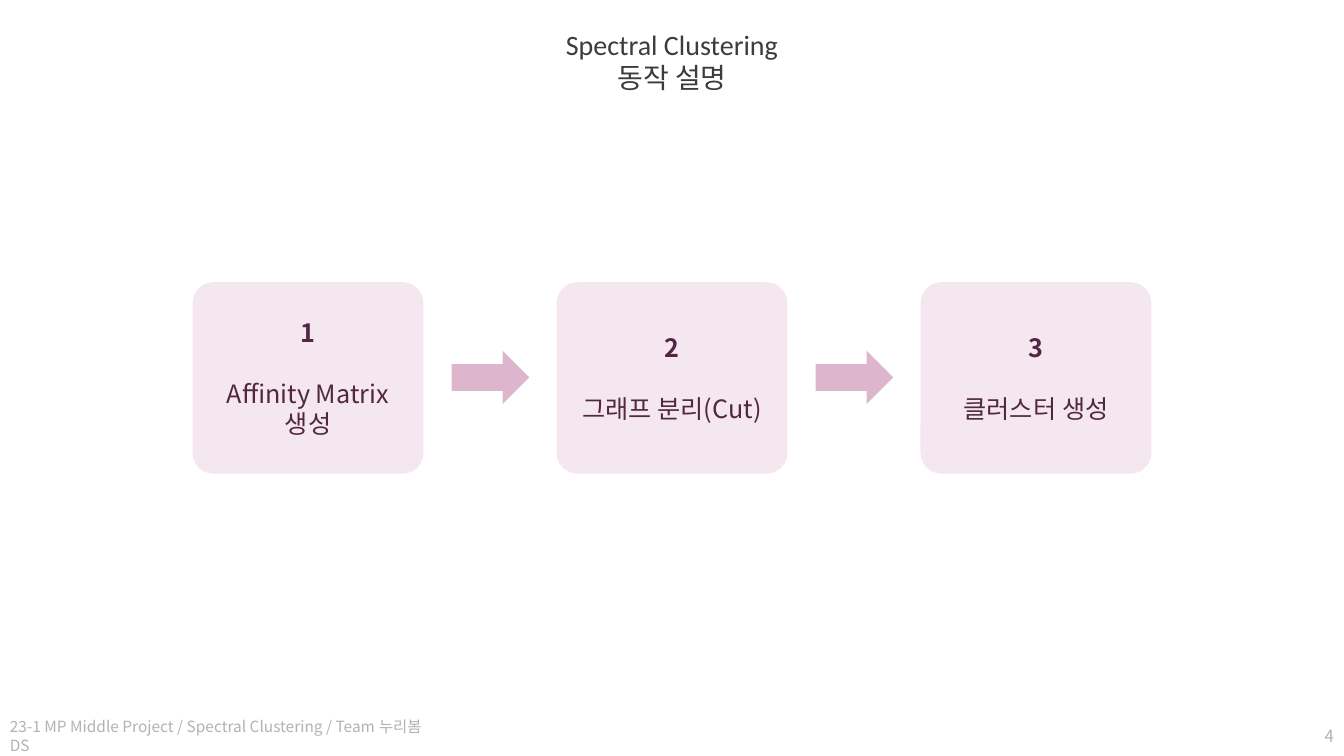
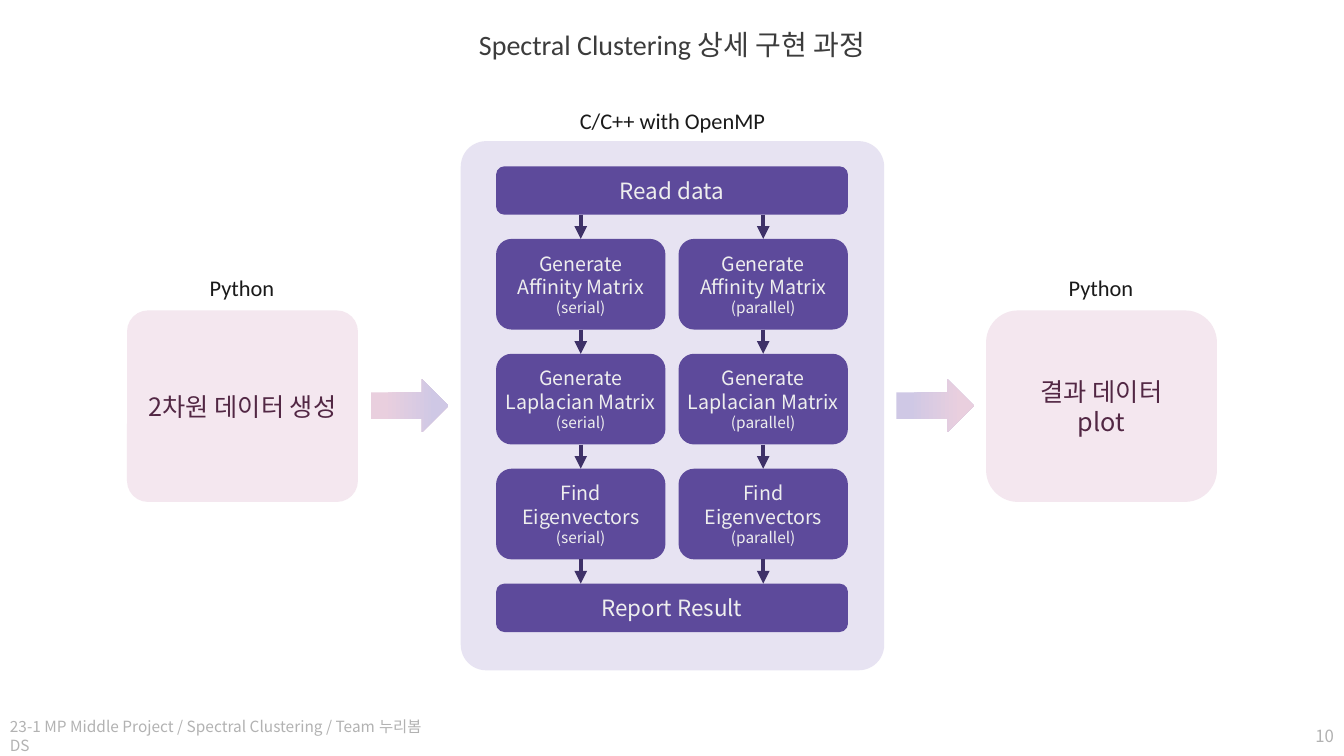
from lxml.etree import SubElement
from pptx import Presentation
from pptx.dml.color import RGBColor
from pptx.enum.shapes import MSO_CONNECTOR as Line, MSO_SHAPE as Kind
from pptx.enum.text import MSO_ANCHOR as Anchor, MSO_AUTO_SIZE as AutoSize, PP_ALIGN as Align
from pptx.oxml.ns import qn
from pptx.util import Pt

PX = 9144


class Theme:
    latin = "Calibri"
    korean = "Noto Sans CJK KR"
    title, caption, footer = "3C3C3C", "1A1A1A", "B2B2B2"
    card, card_text, arrow = "F4E7EF", "522744", "DDB6CE"
    panel, step, step_text, link = "E7E3F2", "5D4A9B", "EEEEEE", "3E3168"
    pink, lilac = "E9CFDE", "CFC8E5"
    title_size, card_size, caption_size, bar_size = 20, 18, 16, 16
    step_size, mode_size, footer_size, number_size = 14, 11, 11, 12
    card_corner, panel_corner, step_corner = 0.11, 0.06, 0.172
    link_width = 3


def place(slide, box, kind=None, fill=None, corner=None):
    left, top, width, height = [length * PX for length in box]
    if kind is None:
        return slide.shapes.add_textbox(left, top, width, height)
    shape = slide.shapes.add_shape(kind, left, top, width, height)
    shape.shadow.inherit = False
    shape.line.fill.background()
    if fill:
        shape.fill.solid()
        shape.fill.fore_color.rgb = RGBColor.from_string(fill)
    if corner:
        shape.adjustments[0] = corner
    return shape


def write(shape, lines, color, size, font=Theme.korean, align=Align.CENTER, grow=False):
    frame = shape.text_frame
    frame.word_wrap = not grow
    frame.vertical_anchor = Anchor.TOP if grow else Anchor.MIDDLE
    if grow:
        frame.auto_size = AutoSize.SHAPE_TO_FIT_TEXT
    for index, line in enumerate(lines):
        paragraph = frame.add_paragraph() if index else frame.paragraphs[0]
        paragraph.text = line
        paragraph.alignment = align
        for run in paragraph.runs:
            run.font.size = Pt(size)
            run.font.color.rgb = RGBColor.from_string(color)
            run.font.name = font
            SubElement(run.font._element, qn("a:ea"), typeface=Theme.korean)
    return frame


deck = Presentation()
deck.slide_width, deck.slide_height = 1333 * PX, 750 * PX

slides = []
for number, title in [
    ("4", ["Spectral Clustering", "동작 설명"]),
    ("10", ["Spectral Clustering 상세 구현 과정"]),
]:
    slide = deck.slides.add_slide(deck.slide_layouts[6])
    slides.append(slide)
    write(place(slide, (0, 710, 450, 40)),
          ["23-1 MP Middle Project / Spectral Clustering / Team 누리봄 DS"],
          Theme.footer, Theme.footer_size, align=Align.LEFT)
    write(place(slide, (1033, 710, 300, 40)), [number],
          Theme.footer, Theme.number_size, align=Align.RIGHT)
    write(place(slide, (406, 22, 521, 44)), title,
          Theme.title, Theme.title_size, Theme.latin, grow=True)
overview, process = slides

card_width, card_height = 229, 190
arrow_width, arrow_height, arrow_drop = 77, 53, 68
stages = ["Affinity Matrix\n생성", "그래프 분리(Cut)", "클러스터 생성"]
for index, stage in enumerate(stages):
    left, top = 191 + 361 * index, 280
    card = place(overview, (left, top, card_width, card_height),
                 Kind.ROUNDED_RECTANGLE, Theme.card, Theme.card_corner)
    heading, body = write(card, [str(index + 1), stage],
                          Theme.card_text, Theme.card_size).paragraphs
    heading.runs[0].font.bold = True
    body.space_before = Pt(22)
    if index < len(stages) - 1:
        place(overview, (left + card_width + 28, top + arrow_drop, arrow_width, arrow_height),
              Kind.RIGHT_ARROW, Theme.arrow)

card_top = 308
for left, lines, corner in [
    (126, ["2차원 데이터 생성"], Theme.card_corner),
    (978, ["결과 데이터", "plot"], None),
]:
    card = place(process, (left, card_top, card_width, card_height),
                 Kind.ROUNDED_RECTANGLE, Theme.card, corner)
    write(card, lines, Theme.card_text, Theme.card_size)

place(process, (457, 140, 420, 525), Kind.ROUNDED_RECTANGLE, Theme.panel, Theme.panel_corner)

for caption, left, top, width in [
    ("Python", 184, 267, 112),
    ("C/C++ with OpenMP", 532, 101, 270),
    ("Python", 1036, 267, 112),
]:
    write(place(process, (left, top, width, 37)), [caption],
          Theme.caption, Theme.caption_size, Theme.latin, grow=True)

for left, colors in [(368, (Theme.pink, Theme.lilac)), (889, (Theme.lilac, Theme.pink))]:
    arrow = place(process, (left, card_top + arrow_drop, arrow_width, arrow_height),
                  Kind.RIGHT_ARROW)
    arrow.fill.gradient()
    arrow.fill.gradient_angle = 0
    for stop, position, color in zip(arrow.fill.gradient_stops, (0.17, 0.83), colors):
        stop.position = position
        stop.color.rgb = RGBColor.from_string(color)

grid_left, grid_top = 492, 165
bar_width, bar_height = 349, 48
step_width, step_height, step_gap = 168, 90, 24
tasks = ["Generate\nAffinity Matrix", "Generate Laplacian Matrix", "Find Eigenvectors"]
first_top = grid_top + bar_height + step_gap
report_top = first_top + len(tasks) * (step_height + step_gap)

for label, top in [("Read data", grid_top), ("Report Result", report_top)]:
    bar = place(process, (grid_left, top, bar_width, bar_height),
                Kind.ROUNDED_RECTANGLE, Theme.step, Theme.step_corner)
    write(bar, [label], Theme.step_text, Theme.bar_size)

for column, mode in enumerate(["(serial)", "(parallel)"]):
    left = grid_left + column * (bar_width - step_width)
    center = left + step_width // 2
    steps = []
    for row, task in enumerate(tasks):
        top = first_top + row * (step_height + step_gap)
        step = place(process, (left, top, step_width, step_height),
                     Kind.ROUNDED_RECTANGLE, Theme.step, Theme.step_corner)
        frame = write(step, [task, mode], Theme.step_text, Theme.step_size)
        frame.margin_left = frame.margin_right = frame.margin_top = frame.margin_bottom = 4 * PX
        frame.paragraphs[1].runs[0].font.size = Pt(Theme.mode_size)
        steps.append(step)

    for row, (source, target) in enumerate(zip([None, *steps], [*steps, None])):
        end = first_top + row * (step_height + step_gap)
        link = process.shapes.add_connector(
            Line.STRAIGHT, center * PX, (end - step_gap) * PX, center * PX, end * PX)
        if source is not None:
            link.begin_connect(source, 2)
        if target is not None:
            link.end_connect(target, 0)
        link.line.color.rgb = RGBColor.from_string(Theme.link)
        link.line.width = Pt(Theme.link_width)
        SubElement(link.line._get_or_add_ln(), qn("a:tailEnd"), type="triangle")
        SubElement(link._element.spPr, qn("a:effectLst"))

deck.save("out.pptx")
